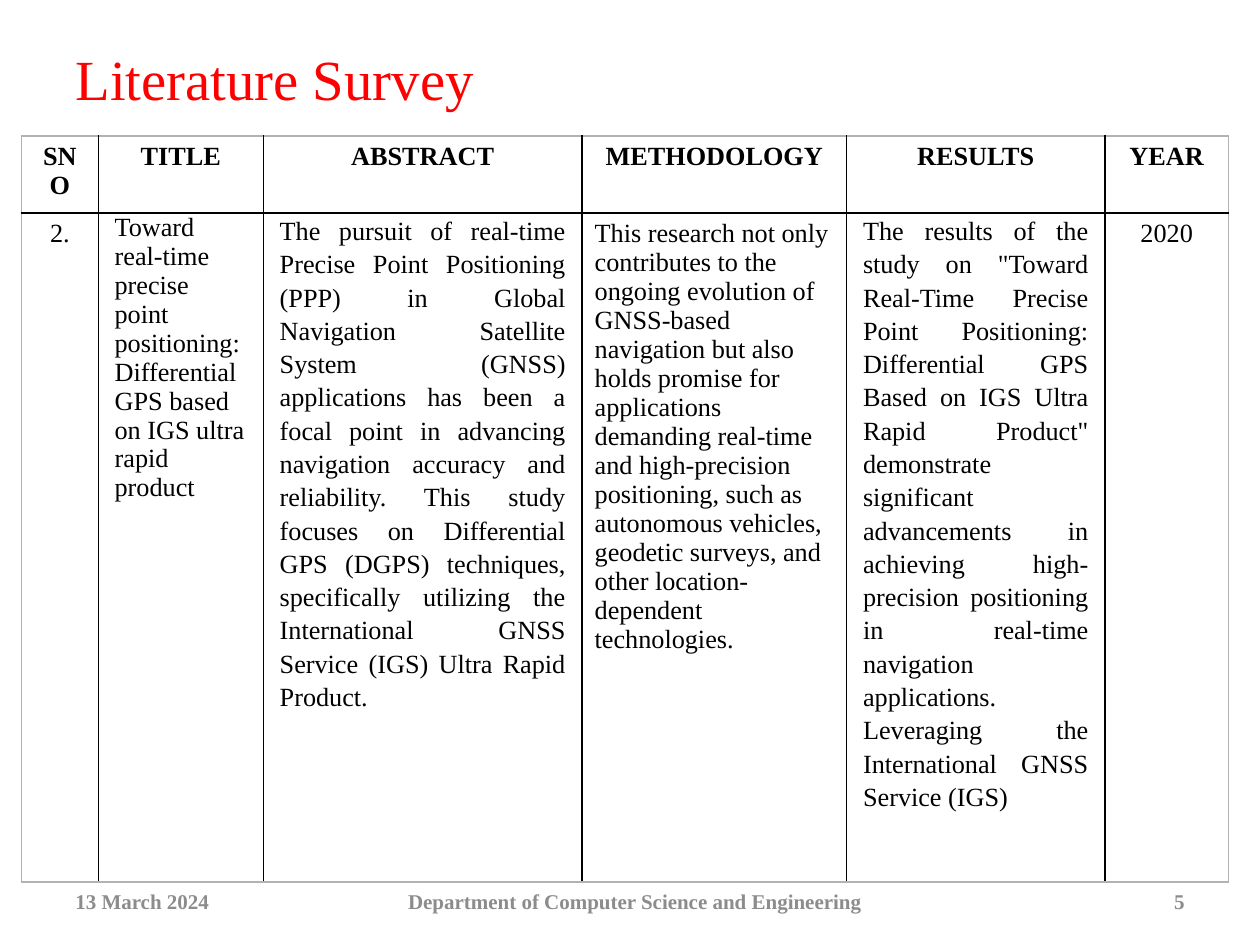
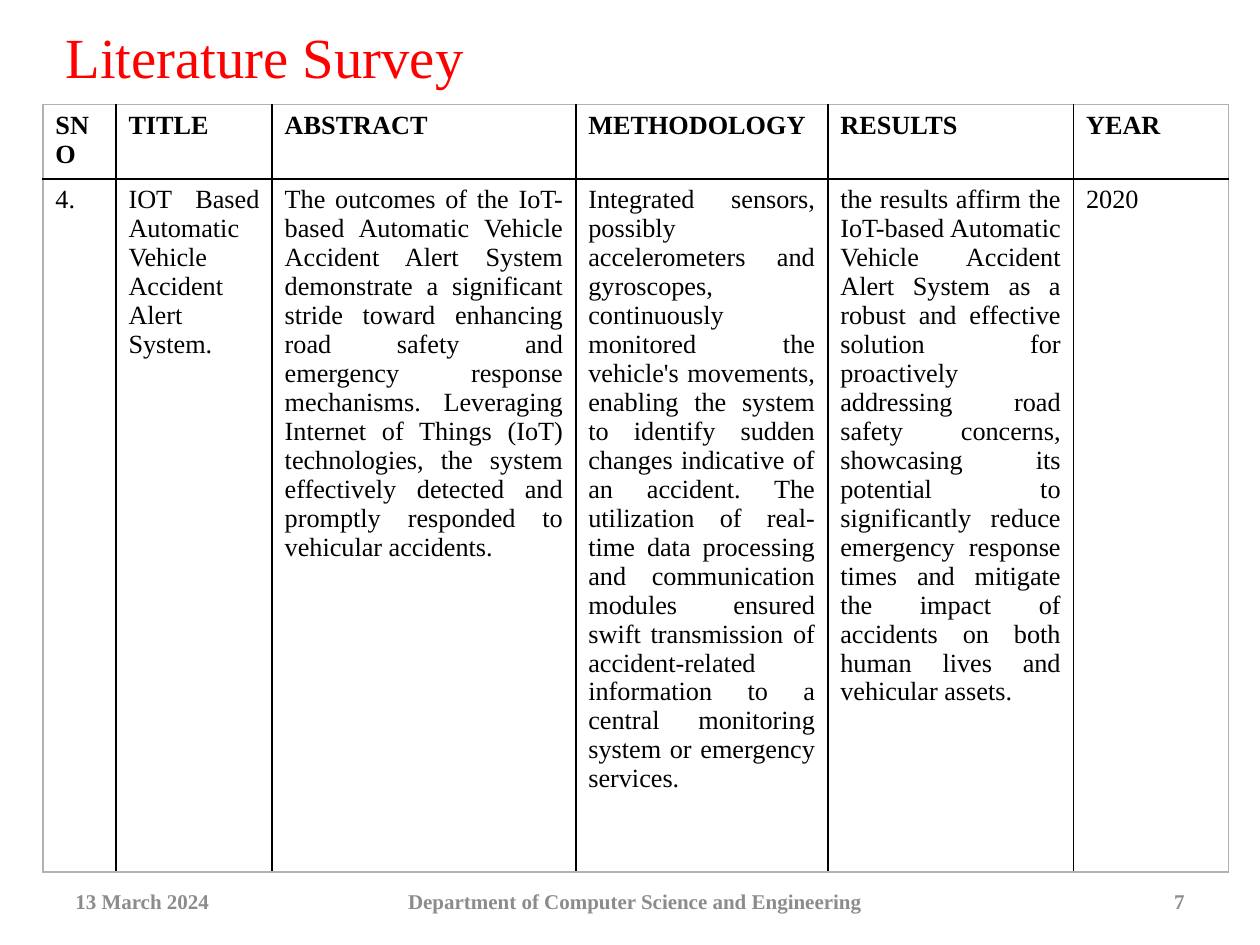
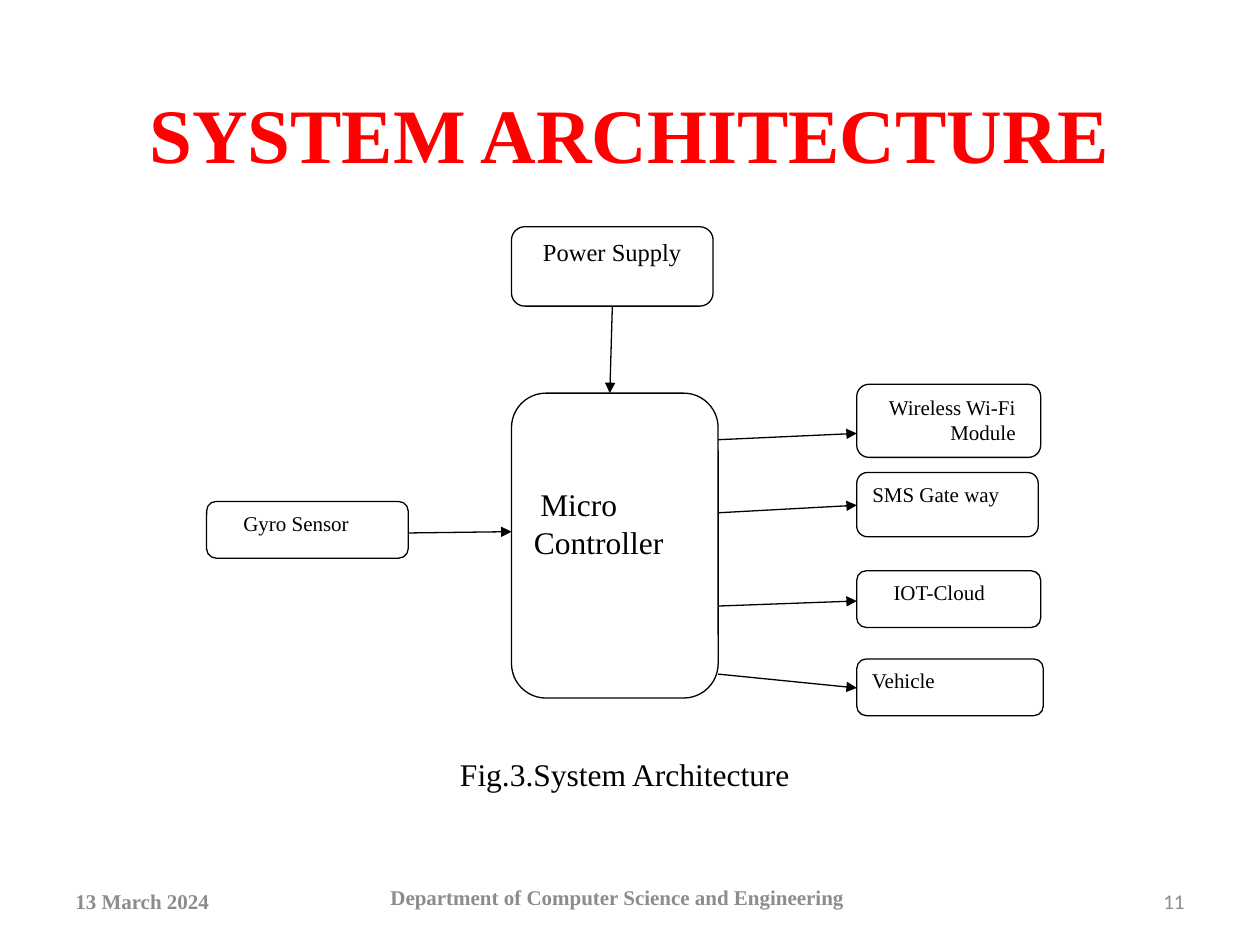
from lxml.etree import SubElement
from pptx import Presentation
from pptx.dml.color import RGBColor
from pptx.enum.shapes import MSO_CONNECTOR, MSO_SHAPE
from pptx.enum.text import MSO_ANCHOR, MSO_AUTO_SIZE, PP_ALIGN
from pptx.oxml.ns import qn
from pptx.util import Inches, Pt

# Shared style
SERIF, SANS = "Times New Roman", "Calibri"
BLACK, WHITE, RED = "000000", "FFFFFF", "FF0000"
FOOTER_GREY, EDGE_GREY = "8C8C8C", "B2B2B2"
LEFT, CENTER = PP_ALIGN.LEFT, PP_ALIGN.CENTER
RIGHT, JUSTIFY = PP_ALIGN.RIGHT, PP_ALIGN.JUSTIFY
DEPARTMENT = "Department of Computer Science and Engineering"
HEADINGS = ["SNO", "TITLE", "ABSTRACT", "METHODOLOGY", "RESULTS", "YEAR"]

# Survey cells: (paragraphs, alignment, line spacing, padded)
GNSS_ROW = [
    (["2."], CENTER, None, False),
    (["Toward real-time precise point positioning: Differential",
      "GPS based on IGS ultra rapid product"], LEFT, None, True),
    (["The pursuit of real-time Precise Point Positioning (PPP) in Global "
      "Navigation Satellite System (GNSS) applications has been a focal point "
      "in advancing navigation accuracy and reliability. This study focuses on "
      "Differential GPS (DGPS) techniques, specifically utilizing the "
      "International GNSS Service (IGS) Ultra Rapid Product."],
     JUSTIFY, 1.15, True),
    (["This research not only contributes to the ongoing evolution of "
      "GNSS-based navigation but also holds promise for applications demanding "
      "real-time and high-precision positioning, such as autonomous vehicles, "
      "geodetic surveys, and other location-dependent technologies."],
     LEFT, None, False),
    (['The results of the study on "Toward Real-Time Precise Point '
      'Positioning: Differential GPS Based on IGS Ultra Rapid Product" '
      "demonstrate significant advancements in achieving high-precision "
      "positioning in real-time navigation applications. Leveraging the "
      "International GNSS Service (IGS)"], JUSTIFY, 1.15, True),
    (["2020"], CENTER, None, False),
]
ACCIDENT_TEXTS = [
    "4.",
    "IOT Based Automatic Vehicle Accident Alert System.",
    "The outcomes of the IoT-based Automatic Vehicle Accident Alert System "
    "demonstrate a significant stride toward enhancing road safety and "
    "emergency response mechanisms. Leveraging Internet of Things (IoT) "
    "technologies, the system effectively detected and promptly responded to "
    "vehicular accidents.",
    "Integrated sensors, possibly accelerometers and gyroscopes, continuously "
    "monitored the vehicle's movements, enabling the system to identify sudden "
    "changes indicative of an accident. The utilization of real-time data "
    "processing and communication modules ensured swift transmission of "
    "accident-related information to a central monitoring system or emergency "
    "services.",
    "the results affirm the IoT-based Automatic Vehicle Accident Alert System "
    "as a robust and effective solution for proactively addressing road safety "
    "concerns, showcasing its potential to significantly reduce emergency "
    "response times and mitigate the impact of accidents on both human lives "
    "and vehicular assets.",
    "2020",
]
ACCIDENT_ROW = [([text], JUSTIFY, None, False) for text in ACCIDENT_TEXTS]


def color(value):
    return RGBColor.from_string(value)


def write(para, text, size, hue=BLACK, bold=False, font=SERIF, align=LEFT):
    para.alignment = align
    span = para.add_run()
    span.text = text
    span.font.name = font
    span.font.size = Pt(size)
    span.font.bold = bold
    span.font.color.rgb = color(hue)


def place(shape, area):
    shape.left, shape.top, shape.width, shape.height = map(Inches, area)


def add_page(deck, title, area, size=32.4, bold=False, align=LEFT):
    page = deck.slides.add_slide(deck.slide_layouts[5])
    place(page.shapes.title, area)
    frame = page.shapes.title.text_frame
    frame.auto_size = MSO_AUTO_SIZE.NONE
    frame.vertical_anchor = MSO_ANCHOR.MIDDLE
    write(frame.paragraphs[0], title, size, RED, bold, align=align)
    return page


def add_text(page, area, text, size, anchor=MSO_ANCHOR.TOP, **style):
    box = page.shapes.add_textbox(*map(Inches, area))
    box.text_frame.word_wrap = True
    box.text_frame.vertical_anchor = anchor
    write(box.text_frame.paragraphs[0], text, size, **style)


def add_footer(page, number, middle=(3.08, 6.95, 3.92, 0.4),
               middle_align=CENTER, number_font=SERIF):
    parts = [
        ((0.5, 6.95, 2.33, 0.4), "13 March 2024", LEFT, SERIF),
        (middle, DEPARTMENT, middle_align, SERIF),
        ((7.17, 6.95, 2.33, 0.4), str(number), RIGHT, number_font),
    ]
    for area, text, align, font in parts:
        add_text(page, area, text, 12, MSO_ANCHOR.MIDDLE, hue=FOOTER_GREY,
                 bold=font == SERIF, font=font, align=align)


def set_borders(cell, outer_sides):
    """Black inner rules, grey along the outside of the table."""
    properties = cell._tc.get_or_add_tcPr()
    for side in "LRTB":
        line = SubElement(properties, qn(f"a:ln{side}"), w=str(Pt(1)))
        fill = SubElement(line, qn("a:solidFill"))
        hue = EDGE_GREY if side in outer_sides else BLACK
        SubElement(fill, qn("a:srgbClr"), val=hue)


def add_survey(page, area, widths, heights, heading_align, entries):
    table = page.shapes.add_table(2, len(widths), *map(Inches, area)).table
    table.first_row = table.horz_banding = False
    for column, width in zip(table.columns, widths):
        column.width = Inches(width)
    for row, height in zip(table.rows, heights):
        row.height = Inches(height)

    headings = [([text], heading_align, None, False) for text in HEADINGS]
    last = len(widths) - 1
    for r, row in enumerate([headings, entries]):
        for c, (texts, align, spacing, padded) in enumerate(row):
            cell = table.cell(r, c)
            sides = "TB"[r] + ("L" if c == 0 else "R" if c == last else "")
            set_borders(cell, sides)
            cell.fill.solid()
            cell.fill.fore_color.rgb = color(WHITE)
            if padded:
                cell.margin_left = cell.margin_right = Inches(0.13)
                cell.margin_top = cell.margin_bottom = 0
            for i, text in enumerate(texts):
                frame = cell.text_frame
                para = frame.add_paragraph() if i else frame.paragraphs[0]
                para.line_spacing = spacing
                write(para, text, 15, bold=r == 0, align=align)


def add_block(page, area, text, size=12, align=LEFT, left=0.1, right=0.1,
              top=0.05, indent=0):
    box = page.shapes.add_shape(MSO_SHAPE.ROUNDED_RECTANGLE,
                                *map(Inches, area))
    box.shadow.inherit = False
    box.fill.solid()
    box.fill.fore_color.rgb = color(WHITE)
    box.line.color.rgb = color(BLACK)
    box.line.width = Pt(0.75)
    frame = box.text_frame
    frame.word_wrap = True
    frame.vertical_anchor = MSO_ANCHOR.TOP
    frame.margin_left, frame.margin_right = Inches(left), Inches(right)
    frame.margin_top = Inches(top)
    para = frame.paragraphs[0]
    write(para, text, size, align=align)
    if indent:
        para._p.get_or_add_pPr().set("indent", str(Inches(indent)))


def add_arrow(page, *ends):
    arrow = page.shapes.add_connector(MSO_CONNECTOR.STRAIGHT,
                                      *map(Inches, ends))
    arrow.line.color.rgb = color(BLACK)
    arrow.line.width = Pt(0.75)
    SubElement(arrow.line._get_or_add_ln(), qn("a:tailEnd"), type="triangle")
    SubElement(arrow._element.spPr, qn("a:effectLst"))


def add_architecture(page):
    # Inputs and controller
    add_block(page, (4.06, 1.8, 1.6, 0.63), "Power Supply", 14, CENTER)
    add_block(page, (1.64, 3.98, 1.6, 0.45), "Gyro Sensor", left=0.27)
    add_block(page, (4.06, 3.12, 1.64, 2.42), "Micro Controller", 18,
              top=0.65, indent=0.05)
    add_arrow(page, 4.86, 2.43, 4.84, 3.12)
    add_arrow(page, 3.24, 4.23, 4.06, 4.22)

    # Outputs: top, width, height, label, text options, arrow start and end
    outputs = [
        (3.05, 1.46, 0.58, "Wireless Wi-Fi Module",
         {"align": RIGHT, "right": 0.17}, 3.49, 3.44),
        (3.75, 1.44, 0.51, "SMS Gate way", {}, 4.07, 4.01),
        (4.53, 1.46, 0.45, "IOT-Cloud", {"left": 0.27}, 4.81, 4.77),
        (5.23, 1.48, 0.45, "Vehicle", {}, 5.35, 5.46),
    ]
    for top, width, height, label, options, start, end in outputs:
        add_block(page, (6.8, top, width, height), label, **options)
        add_arrow(page, 5.7, start, 6.8, end)

    add_text(page, (1.56, 5.94, 6.8, 0.4), "Fig.3.System Architecture", 18,
             align=CENTER)


def main():
    deck = Presentation()
    deck.slide_width, deck.slide_height = Inches(10), Inches(7.5)

    # Survey of satellite positioning
    page = add_page(deck, "Literature Survey", (0.5, 0.3, 9, 0.64))
    add_survey(page, (0.17, 1.08, 9.58, 5.92),
               [0.61, 1.31, 2.53, 2.1, 2.05, 0.98], [0.61, 5.31],
               CENTER, GNSS_ROW)
    add_footer(page, 5)

    # Survey of accident alerts
    page = add_page(deck, "Literature Survey", (0.42, 0.25, 9, 0.39))
    add_survey(page, (0.34, 0.83, 9.41, 6.09),
               [0.58, 1.24, 2.41, 2, 1.95, 1.23], [0.59, 5.5],
               JUSTIFY, ACCIDENT_ROW)
    add_footer(page, 7)

    # System architecture
    page = add_page(deck, "SYSTEM ARCHITECTURE", (0.5, 0.55, 9, 1),
                    44, True, CENTER)
    add_architecture(page)
    add_footer(page, 11, (3, 6.92, 4.08, 0.4), LEFT, SANS)

    deck.save("out.pptx")


if __name__ == "__main__":
    main()
